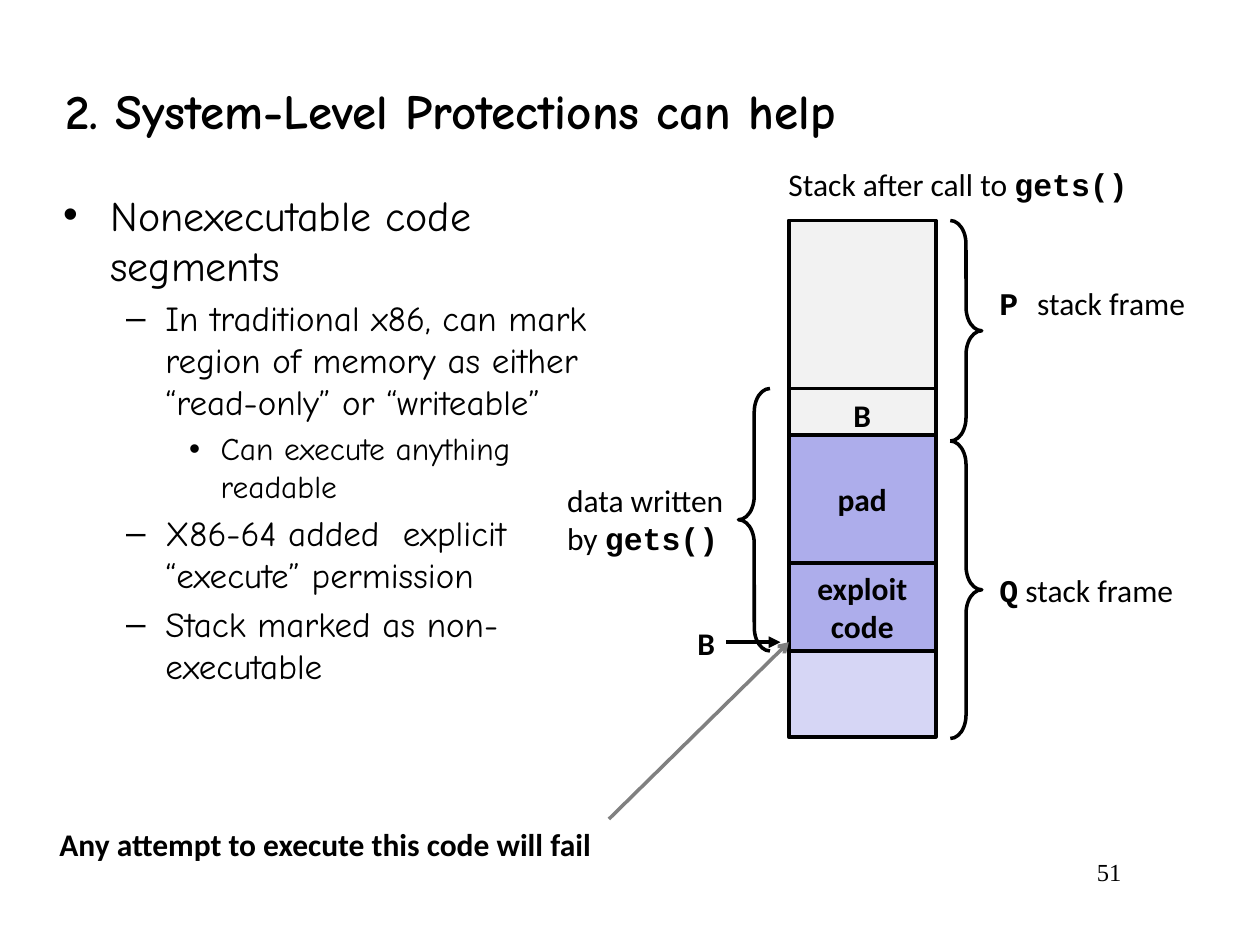
"""Build a slide on nonexecutable code segments beside a stack diagram."""
import dataclasses

import lxml.etree
import pptx
import pptx.dml.color
import pptx.enum.shapes
import pptx.enum.text
import pptx.oxml.ns
import pptx.util

Pt = pptx.util.Pt
ALIGN = pptx.enum.text.PP_ALIGN
ANCHOR = pptx.enum.text.MSO_ANCHOR
FIT = pptx.enum.text.MSO_AUTO_SIZE
SHAPE = pptx.enum.shapes.MSO_SHAPE


@dataclasses.dataclass(frozen=True)
class Theme:
    black: str = "000000"
    gray: str = "808080"
    caller_fill: str = "F2F2F2"
    written_fill: str = "ADADEB"
    callee_fill: str = "D6D6F5"
    heading: str = "Comic Neue"
    title_size: int = 28
    level_sizes: tuple = (24, 20, 18)
    label_size: int = 18
    number_size: int = 14


theme = Theme()
formats = {
    "title": {"name": theme.heading, "size": Pt(theme.title_size), "bold": True},
    "label": {"name": "Calibri", "size": Pt(theme.label_size), "bold": False},
    "strong": {"name": "Calibri", "size": Pt(theme.label_size), "bold": True},
    "code": {"name": "Courier New", "size": Pt(theme.label_size), "bold": True},
    "number": {"name": "Times New Roman", "size": Pt(theme.number_size), "bold": False},
}
for level, size in enumerate(theme.level_sizes):
    formats[f"level {level}"] = {"name": theme.heading, "size": Pt(size), "bold": False}


def color(value):
    return pptx.dml.color.RGBColor.from_string(value)


def write(shape, lines, **frame_values):
    """Fill a shape with lines of (text, format) runs."""
    frame = shape.text_frame
    alignment = frame_values.pop("alignment", ALIGN.LEFT)
    for name, value in frame_values.items():
        setattr(frame, name, value)
    for index, runs in enumerate(lines):
        paragraph = frame.paragraphs[0] if index == 0 else frame.add_paragraph()
        paragraph.alignment = alignment
        for text, format_name in runs:
            run = paragraph.add_run()
            run.text = text
            for name, value in formats[format_name].items():
                setattr(run.font, name, value)
            run.font.color.rgb = color(theme.black)


presentation = pptx.Presentation()
presentation.slide_width, presentation.slide_height = Pt(720), Pt(540)
slide = presentation.slides.add_slide(presentation.slide_layouts[5])
shapes = slide.shapes

title = shapes.title
title_box = {"left": 30, "top": 42, "width": 636, "height": 42}
for name, value in title_box.items():
    setattr(title, name, Pt(value))
write(title, [[("2. System-Level Protections can help", "title")]],
      vertical_anchor=ANCHOR.MIDDLE, word_wrap=True, auto_size=FIT.NONE)

points = [
    (0, "Nonexecutable code segments"),
    (1, "In traditional x86, can mark region of memory as either “read-only” or “writeable”"),
    (2, "Can execute anything readable"),
    (1, "X86-64 added  explicit “execute” permission"),
    (1, "Stack marked as non-executable"),
]
bullets = [("•", 27, -27), ("–", 58.5, -22.5), ("•", 90, -18)]
body = shapes.add_textbox(Pt(29), Pt(104.5), Pt(319), Pt(411))
write(body, [[(text, f"level {level}")] for level, text in points], word_wrap=True)
for index, (level, text) in enumerate(points):
    paragraph = body.text_frame.paragraphs[index]
    paragraph.level = level
    paragraph.space_before = Pt(0.2 * theme.level_sizes[level] if index else 0)
    character, margin, indent = bullets[level]
    properties = paragraph._p.get_or_add_pPr()
    properties.set("marL", str(Pt(margin)))
    properties.set("indent", str(Pt(indent)))
    font = lxml.etree.SubElement(properties, pptx.oxml.ns.qn("a:buFont"))
    font.set("typeface", "Arial")
    bullet = lxml.etree.SubElement(properties, pptx.oxml.ns.qn("a:buChar"))
    bullet.set("char", character)

stack_left, stack_width = 450.75, 84
stack = [
    (222, 30, theme.caller_fill, ["B"]),
    (126, 96, theme.caller_fill, []),
    (372, 49, theme.callee_fill, []),
    (321.5, 50.5, theme.written_fill, ["exploit", "code"]),
    (248.5, 73, theme.written_fill, ["pad"]),
]
for top, height, fill, words in stack:
    block = shapes.add_shape(SHAPE.RECTANGLE, Pt(stack_left), Pt(top), Pt(stack_width), Pt(height))
    block.shadow.inherit = False
    block.fill.solid()
    block.fill.fore_color.rgb = color(fill)
    block.line.color.rgb = color(theme.black)
    block.line.width = Pt(2.25)
    write(block, [[(word, "strong")] for word in words],
          alignment=ALIGN.CENTER, vertical_anchor=ANCHOR.MIDDLE)

braces = [(543, 126, 126, 180), (543, 252, 170, 180), (422, 222, 150, 0)]
for left, top, height, rotation in braces:
    brace = shapes.add_shape(SHAPE.LEFT_BRACE, Pt(left), Pt(top), Pt(18), Pt(height))
    brace.shadow.inherit = False
    brace.rotation = rotation
    brace.adjustments[0] = 0.75
    brace.fill.background()
    brace.line.color.rgb = color(theme.black)
    brace.line.width = Pt(2)

arrows = [
    ((415, 367, 446, 367), theme.black, 2.25, "triangle"),
    ((348, 468, 450.75, 367), theme.gray, 2, "arrow"),
]
for ends, line_color, width, head in arrows:
    arrow = shapes.add_connector(pptx.enum.shapes.MSO_CONNECTOR.STRAIGHT, *map(Pt, ends))
    arrow.line.color.rgb = color(line_color)
    arrow.line.width = Pt(width)
    tail = lxml.etree.SubElement(arrow.line._get_or_add_ln(), pptx.oxml.ns.qn("a:tailEnd"))
    tail.set("type", head)
    lxml.etree.SubElement(arrow._element.spPr, pptx.oxml.ns.qn("a:effectLst"))

labels = [
    (443.5, 91, 211, 29, False, ALIGN.LEFT,
     [[("Stack after call to ", "label"), ("gets()", "code")]]),
    (564, 159, 122, 29, False, ALIGN.LEFT, [[("P ", "code"), ("stack frame", "label")]]),
    (564, 322.5, 116, 29, False, ALIGN.LEFT, [[("Q", "code"), (" stack frame", "label")]]),
    (391.5, 353, 24.5, 29, False, ALIGN.LEFT, [[("B", "strong")]]),
    (317, 271.5, 108, 51, True, ALIGN.LEFT,
     [[("data written", "label")], [("by ", "label"), ("gets()", "code")]]),
    (21, 468, 324, 29, False, ALIGN.RIGHT,
     [[("Any attempt to execute this code will fail", "strong")]]),
    (546, 486, 102, 36, True, ALIGN.RIGHT, [[("51", "number")]]),
]
for left, top, width, height, wrap, alignment, lines in labels:
    label = shapes.add_textbox(Pt(left), Pt(top), Pt(width), Pt(height))
    write(label, lines, alignment=alignment, word_wrap=wrap,
          auto_size=FIT.NONE if wrap else FIT.SHAPE_TO_FIT_TEXT)

presentation.save("out.pptx")
